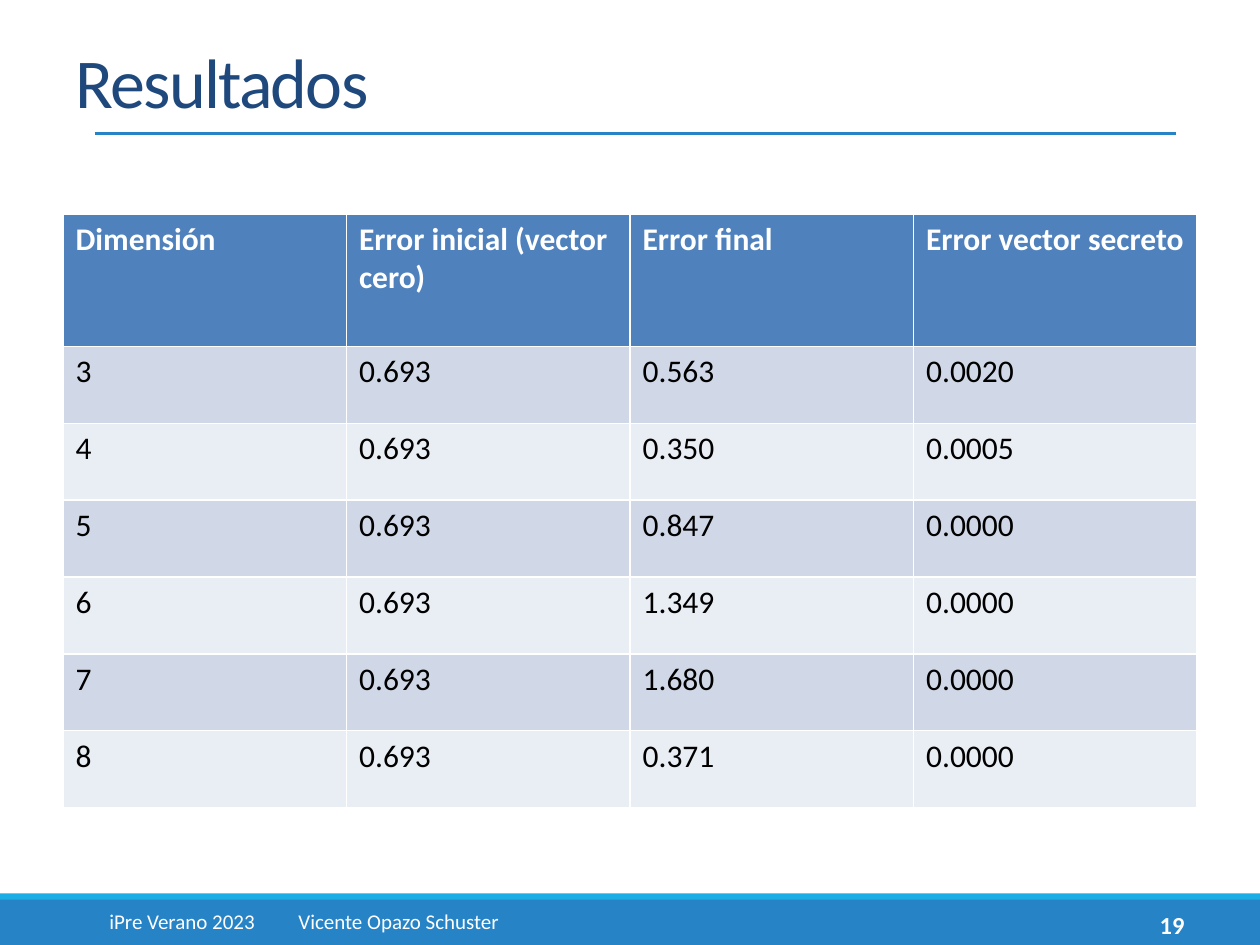
"""Build the results slide: title, error table and footer band."""
from pptx import Presentation
from pptx.dml.color import RGBColor
from pptx.enum.shapes import MSO_CONNECTOR, MSO_SHAPE
from pptx.enum.text import MSO_ANCHOR, PP_ALIGN
from pptx.oxml.ns import qn
from pptx.util import Inches, Pt

RECTANGLE, STRAIGHT = MSO_SHAPE.RECTANGLE, MSO_CONNECTOR.STRAIGHT
LEFT, CENTER, RIGHT = PP_ALIGN.LEFT, PP_ALIGN.CENTER, PP_ALIGN.RIGHT
MIDDLE = MSO_ANCHOR.MIDDLE

COLORS = {name: RGBColor.from_string(value) for name, value in {
    "title": "1F497D", "band": "2683C6", "stripe": "1CADE4", "header": "4F81BD",
    "odd": "D0D8E8", "even": "E9EDF4", "white": "FFFFFF", "black": "000000",
}.items()}
FONT = "Calibri"
WIDTH, HEIGHT, MARGIN = 10, 7.5, 0.5

HEADINGS = ["Dimensión", "Error inicial (vector cero)", "Error final", "Error vector secreto"]
RESULTS = [
    ("3", "0.693", "0.563", "0.0020"),
    ("4", "0.693", "0.350", "0.0005"),
    ("5", "0.693", "0.847", "0.0000"),
    ("6", "0.693", "1.349", "0.0000"),
    ("7", "0.693", "1.680", "0.0000"),
    ("8", "0.693", "0.371", "0.0000"),
]
TABLE_TOP, HEADER_HEIGHT, ROW_HEIGHT = 1.7, 1.05, 0.61
BANDS = [("band", 7.12, 0.4), ("stripe", 7.09, 0.05)]
LABELS = [
    ("iPre Verano 2023\tVicente Opazo Schuster", (-0.05, 7.13, 4.93, 0.36), 12, "white", False, CENTER),
    ("Resultados", (MARGIN, 0.1, WIDTH - 2 * MARGIN, 1.08), 40, "title", False, LEFT),
    ("19", (8.33, 7.16, 1.17, 0.36), 14, "white", True, RIGHT),
]


def style(paragraph, size, color, bold):
    font = paragraph.font
    font.name, font.size, font.bold = FONT, Pt(size), bold
    font.color.rgb = COLORS[color]


def add_label(slide, text, box, size, color, bold, align):
    frame = slide.shapes.add_textbox(*map(Inches, box)).text_frame
    frame.word_wrap = True
    frame.vertical_anchor = MIDDLE
    paragraph = frame.paragraphs[0]
    paragraph.text, paragraph.alignment = text, align
    style(paragraph, size, color, bold)
    return paragraph


def add_results(slide):
    rows = [HEADINGS, *RESULTS]
    width = WIDTH - 2 * MARGIN
    height = HEADER_HEIGHT + ROW_HEIGHT * len(RESULTS)
    box = map(Inches, (MARGIN, TABLE_TOP, width, height))
    table = slide.shapes.add_table(len(rows), len(HEADINGS), *box).table
    for column in table.columns:
        column.width = Inches(width / len(HEADINGS))
    for r, values in enumerate(rows):
        is_header = r == 0
        table.rows[r].height = Inches(HEADER_HEIGHT if is_header else ROW_HEIGHT)
        fill = "header" if is_header else "odd" if r % 2 else "even"
        for c, value in enumerate(values):
            cell = table.cell(r, c)
            cell.text = value
            cell.fill.solid()
            cell.fill.fore_color.rgb = COLORS[fill]
            style(cell.text_frame.paragraphs[0], 18, "white" if is_header else "black", is_header)


presentation = Presentation()
presentation.slide_width, presentation.slide_height = Inches(WIDTH), Inches(HEIGHT)
slide = presentation.slides.add_slide(presentation.slide_layouts[6])

for color, top, height in BANDS:
    band = slide.shapes.add_shape(RECTANGLE, 0, Inches(top), Inches(WIDTH), Inches(height))
    band.shadow.inherit = False
    band.fill.solid()
    band.fill.fore_color.rgb = COLORS[color]
    band.line.fill.background()

rule = slide.shapes.add_connector(STRAIGHT, *map(Inches, (0.75, 1.06, 9.33, 1.06)))
rule.line.color.rgb, rule.line.width = COLORS["band"], Pt(1.5)
properties = rule._element.spPr
properties.append(properties.makeelement(qn("a:effectLst"), {}))

footer, title, page_number = [add_label(slide, *label) for label in LABELS]
title.runs[0]._r.get_or_add_rPr().set("spc", "-100")
add_results(slide)

presentation.save("out.pptx")
